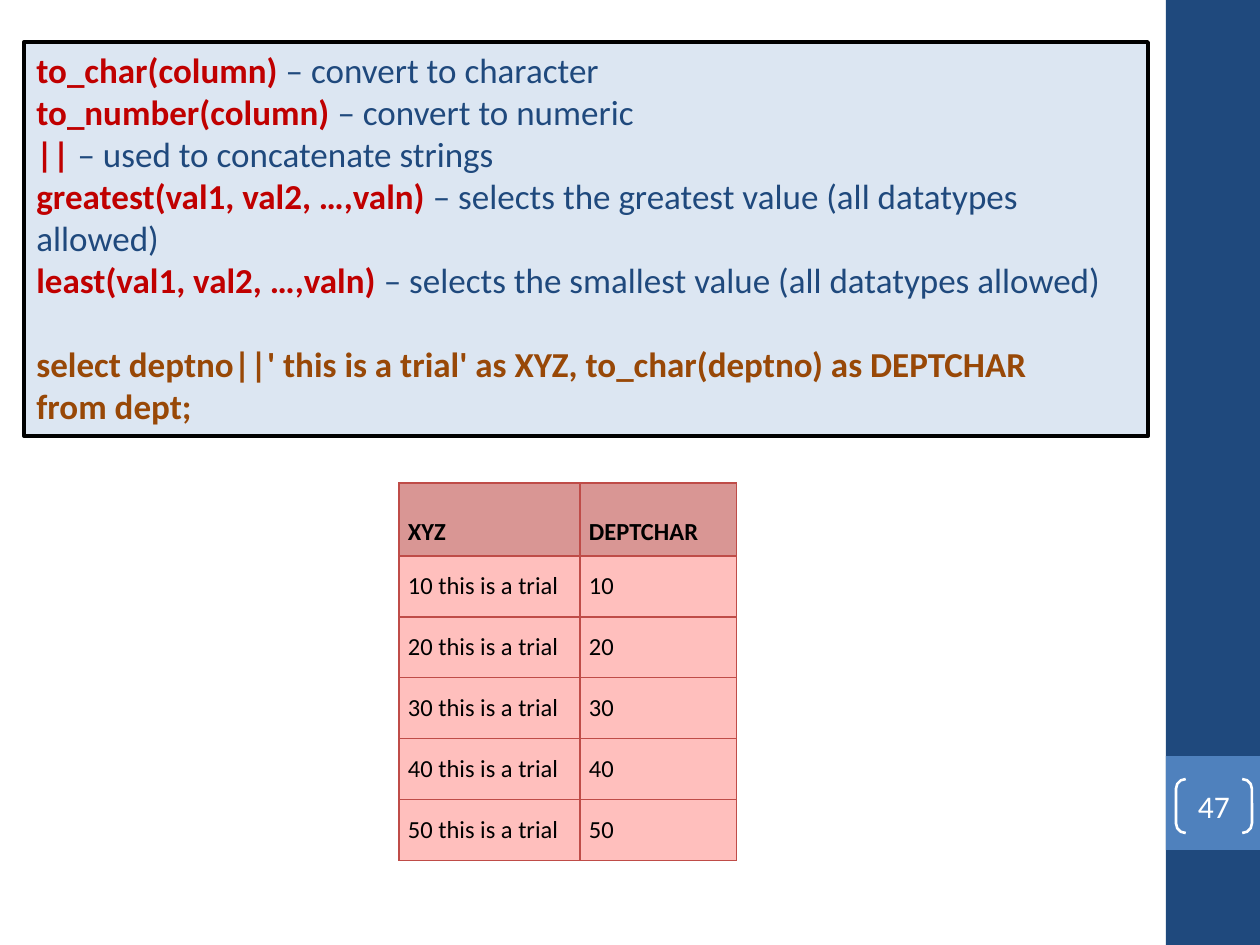
import lxml.etree
import pptx
import pptx.dml.color
import pptx.enum.shapes
import pptx.enum.text
import pptx.oxml.ns
import pptx.util

SHAPES = pptx.enum.shapes.MSO_SHAPE
ALIGN = pptx.enum.text.PP_ALIGN
ANCHOR = pptx.enum.text.MSO_ANCHOR
PIXELS_PER_INCH = 126

NAVY, BLUE, WHITE, BLACK = "1F497D", "4F81BD", "FFFFFF", "000000"
RED, BROWN, PALE_BLUE = "C00000", "984807", "DCE6F2"
HEADER_PINK, BODY_PINK, BORDER_RED = "D99694", "FFBFBD", "BF4C48"

FUNCTIONS = [
    ("to_char(column) ", "– convert to character"),
    ("to_number(column) ", "– convert to numeric"),
    ("|| ", "– used to concatenate strings"),
    ("greatest(val1, val2, …,valn) ", "– selects the greatest value (all datatypes allowed)"),
    ("least(val1, val2, …,valn) ", "– selects the smallest value (all datatypes allowed)"),
]
QUERY = [
    "select deptno||' this is a trial' as XYZ, to_char(deptno) as DEPTCHAR",
    "from dept;",
]
DEPARTMENTS = range(10, 60, 10)


def px(length):
    return pptx.util.Emu(round(length * 914400 / PIXELS_PER_INCH))


def color(value):
    return pptx.dml.color.RGBColor.from_string(value)


class SlideBuilder:
    font = "Calibri"

    def __init__(self, slide):
        self.slide = slide

    def shape(self, kind, left, top, width, height, fill=None, line=None, weight=1):
        shape = self.slide.shapes.add_shape(kind, px(left), px(top), px(width), px(height))
        shape.shadow.inherit = False
        if fill:
            shape.fill.solid()
            shape.fill.fore_color.rgb = color(fill)
        else:
            shape.fill.background()
        if line:
            shape.line.color.rgb = color(line)
            shape.line.width = pptx.util.Pt(weight)
        else:
            shape.line.fill.background()
        return shape

    def paragraph(self, para, runs, size, align=ALIGN.LEFT):
        para.alignment = align
        for text, ink, bold in runs:
            span = para.add_run()
            span.text = text
            span.font.name = self.font
            span.font.size = pptx.util.Pt(size)
            span.font.bold = bold
            span.font.color.rgb = color(ink)

    def text(self, shape, lines, size, align=ALIGN.LEFT, anchor=ANCHOR.TOP):
        frame = shape.text_frame
        frame.word_wrap = True
        frame.vertical_anchor = anchor
        for index, runs in enumerate(lines):
            para = frame.add_paragraph() if index else frame.paragraphs[0]
            self.paragraph(para, runs, size, align)
        return frame

    def cell(self, cell, text, header):
        properties = cell._tc.get_or_add_tcPr()
        for side in ("a:lnL", "a:lnR", "a:lnT", "a:lnB"):
            edge = lxml.etree.SubElement(
                properties, pptx.oxml.ns.qn(side), w=str(pptx.util.Pt(0.75)))
            paint = lxml.etree.SubElement(edge, pptx.oxml.ns.qn("a:solidFill"))
            lxml.etree.SubElement(paint, pptx.oxml.ns.qn("a:srgbClr"), val=BORDER_RED)
        cell.fill.solid()
        cell.fill.fore_color.rgb = color(HEADER_PINK if header else BODY_PINK)
        cell.vertical_anchor = ANCHOR.BOTTOM if header else ANCHOR.MIDDLE
        cell.margin_left = cell.margin_right = px(9)
        cell.margin_top = cell.margin_bottom = px(9 if header else 4)
        self.paragraph(cell.text_frame.paragraphs[0], [(text, BLACK, header)], 14)

    def table(self, left, top, widths, heights, rows):
        frame = self.slide.shapes.add_table(
            len(rows), len(widths), px(left), px(top), px(sum(widths)), px(sum(heights)))
        table = frame.table
        table.horz_banding = False
        for column, width in zip(table.columns, widths):
            column.width = px(width)
        for index, (row, height, values) in enumerate(zip(table.rows, heights, rows)):
            row.height = px(height)
            for cell, value in zip(row.cells, values):
                self.cell(cell, value, header=index == 0)


def main():
    deck = pptx.Presentation()
    deck.slide_width, deck.slide_height = px(1260), px(945)
    page = SlideBuilder(deck.slides.add_slide(deck.slide_layouts[6]))

    page.shape(SHAPES.RECTANGLE, 1166, 0, 94, 945, fill=NAVY)
    page.shape(SHAPES.RECTANGLE, 1166, 756, 94, 94, fill=BLUE)
    number = page.shape(SHAPES.DOUBLE_BRACKET, 1176, 779, 76, 54, line=WHITE, weight=1.5)
    number.adjustments[0] = 0.18
    frame = page.text(number, [[("47", WHITE, False)]], 18, ALIGN.CENTER, ANCHOR.MIDDLE)
    frame.margin_left = frame.margin_right = frame.margin_top = frame.margin_bottom = 0

    box = page.shape(SHAPES.RECTANGLE, 24, 42, 1124, 394, fill=PALE_BLUE, line=BLACK, weight=2.25)
    lines = [[(name, RED, True), (use, NAVY, False)] for name, use in FUNCTIONS]
    lines += [[(line, BROWN, True)] for line in QUERY]
    frame = page.text(box, lines, 20)
    frame.auto_size = pptx.enum.text.MSO_AUTO_SIZE.SHAPE_TO_FIT_TEXT
    frame.paragraphs[len(FUNCTIONS)].space_before = pptx.util.Pt(24)

    rows = [("XYZ", "DEPTCHAR")]
    rows += [(f"{department} this is a trial", str(department)) for department in DEPARTMENTS]
    page.table(399, 483, [181, 157], [73] + [61] * len(DEPARTMENTS), rows)

    deck.save("out.pptx")


if __name__ == "__main__":
    main()
